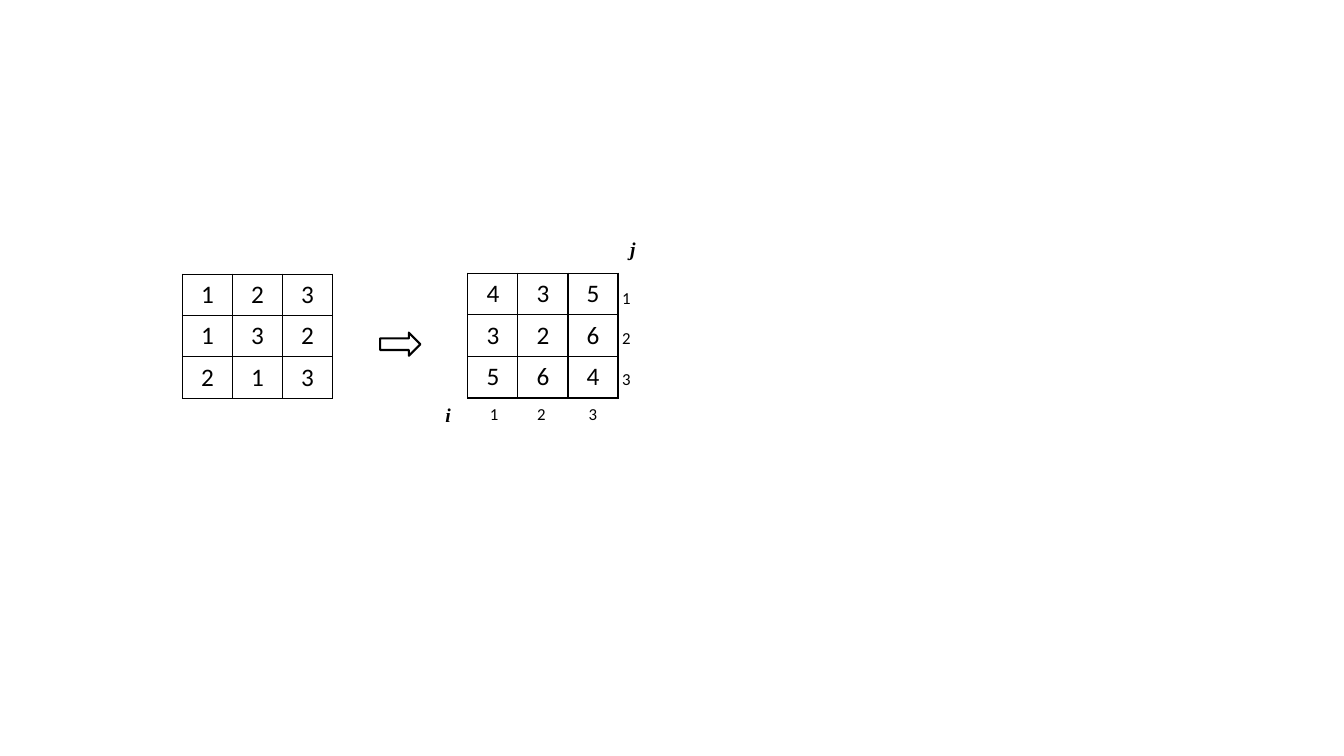
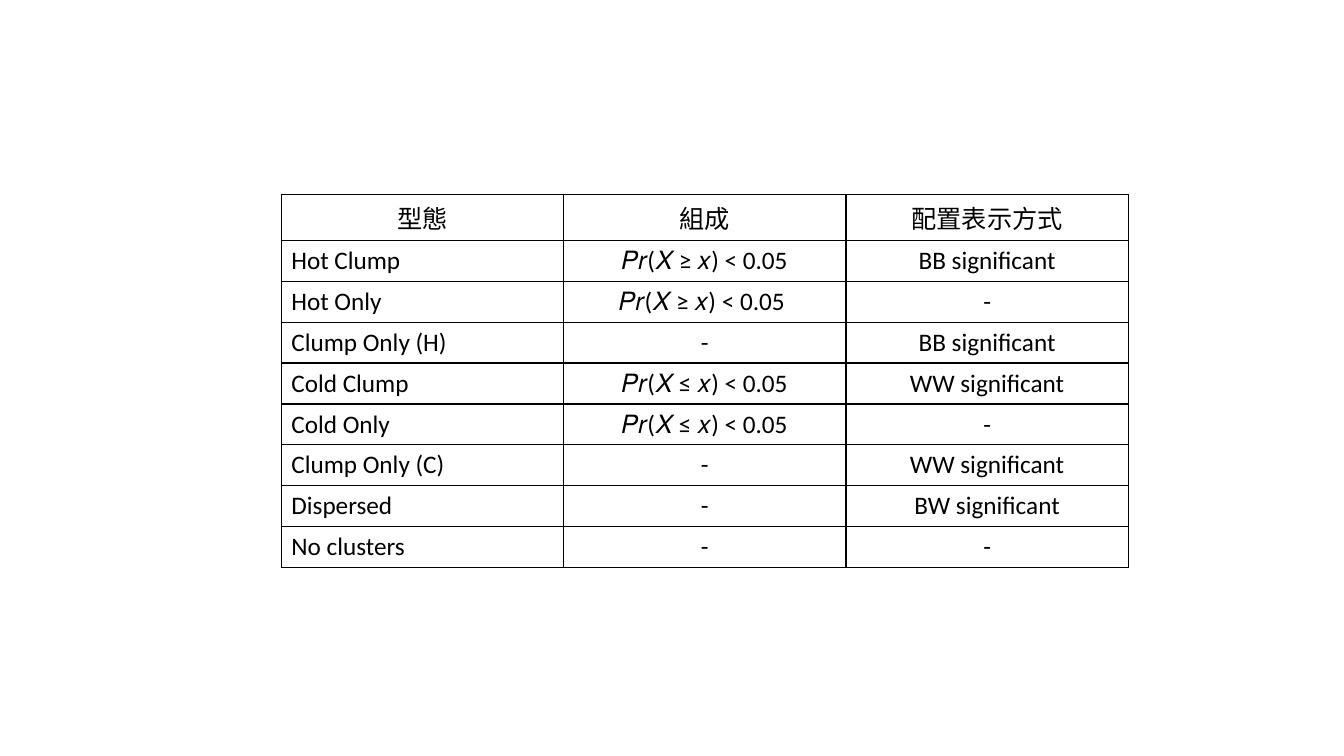
from dataclasses import dataclass

from lxml import etree
from pptx import Presentation
from pptx import util as u
from pptx.dml.color import RGBColor
from pptx.enum import shapes, text
from pptx.oxml import ns

EMU_PER_PX = 9144  # 100 px to the inch
COLORS = {"ink": "000000", "paper": "FFFFFF"}
BODY_FONT = "Calibri"
AXIS_FONT = "Times New Roman"
BLANK_LAYOUT = 6
LEFT, CENTER = text.PP_ALIGN.LEFT, text.PP_ALIGN.CENTER
TOP, MIDDLE = text.MSO_ANCHOR.TOP, text.MSO_ANCHOR.MIDDLE


@dataclass(frozen=True)
class Box:
    left: int
    top: int
    width: int
    height: int

    def emu(self) -> tuple[u.Emu, ...]:
        return tuple(px(side) for side in (self.left, self.top, self.width, self.height))


@dataclass(frozen=True)
class Grid:
    box: Box
    rows: tuple[tuple[str, ...], ...]
    anchor: text.MSO_ANCHOR = MIDDLE
    left_column: bool = False
    header_extra: int = 0


@dataclass(frozen=True)
class Label:
    content: str
    box: Box
    inset: int = 10
    axis: bool = False


def px(length: int) -> u.Emu:
    return u.Emu(length * EMU_PER_PX)


def rgb(name: str) -> RGBColor:
    return RGBColor.from_string(COLORS[name])


def write_text(frame, content: str, *, size: int = 18, font: str = BODY_FONT,
               bold: bool = False, italic: bool = False, align=LEFT) -> None:
    paragraph = frame.paragraphs[0]
    paragraph.alignment = align
    run = paragraph.add_run()
    run.text = content
    run.font.size = u.Pt(size)
    run.font.name = font
    run.font.bold = bold
    run.font.italic = italic
    run.font.color.rgb = rgb("ink")


def add_borders(cell) -> None:
    properties = cell._tc.get_or_add_tcPr()
    for side in ("lnL", "lnR", "lnT", "lnB"):
        line = etree.SubElement(properties, ns.qn(f"a:{side}"), w=str(u.Pt(1)))
        fill = etree.SubElement(line, ns.qn("a:solidFill"))
        etree.SubElement(fill, ns.qn("a:srgbClr"), val=COLORS["ink"])


def add_grid(slide, grid: Grid) -> None:
    """Draw a ruled table with equal columns and equal rows, the first row taller if asked."""
    row_count, column_count = len(grid.rows), len(grid.rows[0])
    table = slide.shapes.add_table(row_count, column_count, *grid.box.emu()).table
    table.first_row = table.horz_banding = False
    for column in table.columns:
        column.width = px(grid.box.width) // column_count
    row_height = px(grid.box.height - grid.header_extra) // row_count
    for row in table.rows:
        row.height = row_height
    table.rows[0].height = row_height + px(grid.header_extra)
    for row_index, values in enumerate(grid.rows):
        for column_index, value in enumerate(values):
            cell = table.cell(row_index, column_index)
            add_borders(cell)
            cell.fill.background()
            cell.vertical_anchor = grid.anchor
            is_row_name = grid.left_column and row_index > 0 and column_index == 0
            write_text(cell.text_frame, value, align=LEFT if is_row_name else CENTER)


def add_label(slide, label: Label) -> None:
    frame = slide.shapes.add_textbox(*label.box.emu()).text_frame
    frame.word_wrap = True
    frame.margin_left = px(label.inset)
    frame.margin_right = 0
    if label.axis:
        write_text(frame, label.content, size=14, font=AXIS_FONT, bold=True, italic=True)
    else:
        write_text(frame, label.content, size=12)


def add_right_arrow(slide, box: Box) -> None:
    arrow = slide.shapes.add_shape(shapes.MSO_SHAPE.RIGHT_ARROW, *box.emu())
    arrow.shadow.inherit = False
    arrow.fill.solid()
    arrow.fill.fore_color.rgb = rgb("paper")
    arrow.line.color.rgb = rgb("ink")
    arrow.line.width = u.Pt(1.5)


MATRICES = (
    Grid(Box(181, 272, 149, 123), (("1", "2", "3"), ("1", "3", "2"), ("2", "1", "3"))),
    Grid(Box(464, 271, 149, 124), (("4", "3", "5"), ("3", "2", "6"), ("5", "6", "4"))),
)
ARROW = Box(377, 330, 40, 23)
AXIS_LABELS = (
    Label("i", Box(432, 395, 23, 34), axis=True),
    *(Label(str(number), Box(left, 396, 26, 30))
      for number, left in enumerate((476, 523, 574), start=1)),
    Label("j", Box(617, 230, 18, 34), inset=8, axis=True),
    *(Label(str(number), Box(617, top, 10, 30), inset=0)
      for number, top in enumerate((281, 320, 361), start=1)),
)

CLUSTER_TYPES = Grid(
    Box(279, 193, 840, 370),
    (
        ("型態", "組成", "配置表示方式"),
        ("Hot Clump", "𝑃𝑟(𝑋 ≥ 𝑥) < 0.05", "BB significant"),
        ("Hot Only", "𝑃𝑟(𝑋 ≥ 𝑥) < 0.05 ", "-"),
        ("Clump Only (H)", "-", "BB significant"),
        ("Cold Clump", "𝑃𝑟(𝑋 ≤ 𝑥) < 0.05", "WW significant"),
        ("Cold Only", "𝑃𝑟(𝑋 ≤ 𝑥) < 0.05", "-"),
        ("Clump Only (C)", "-", "WW significant"),
        ("Dispersed", "-", "BW significant"),
        ("No clusters", "-", "-"),
    ),
    anchor=TOP,
    left_column=True,
    header_extra=5,
)


def add_blank_slide(presentation):
    return presentation.slides.add_slide(presentation.slide_layouts[BLANK_LAYOUT])


def build_matrix_slide(presentation) -> None:
    slide = add_blank_slide(presentation)
    for matrix in MATRICES:
        add_grid(slide, matrix)
    add_right_arrow(slide, ARROW)
    for label in AXIS_LABELS:
        add_label(slide, label)


def build_cluster_slide(presentation) -> None:
    add_grid(add_blank_slide(presentation), CLUSTER_TYPES)


def main() -> None:
    presentation = Presentation()
    presentation.slide_width = px(1333)
    presentation.slide_height = px(750)
    build_matrix_slide(presentation)
    build_cluster_slide(presentation)
    presentation.save("out.pptx")


if __name__ == "__main__":
    main()
